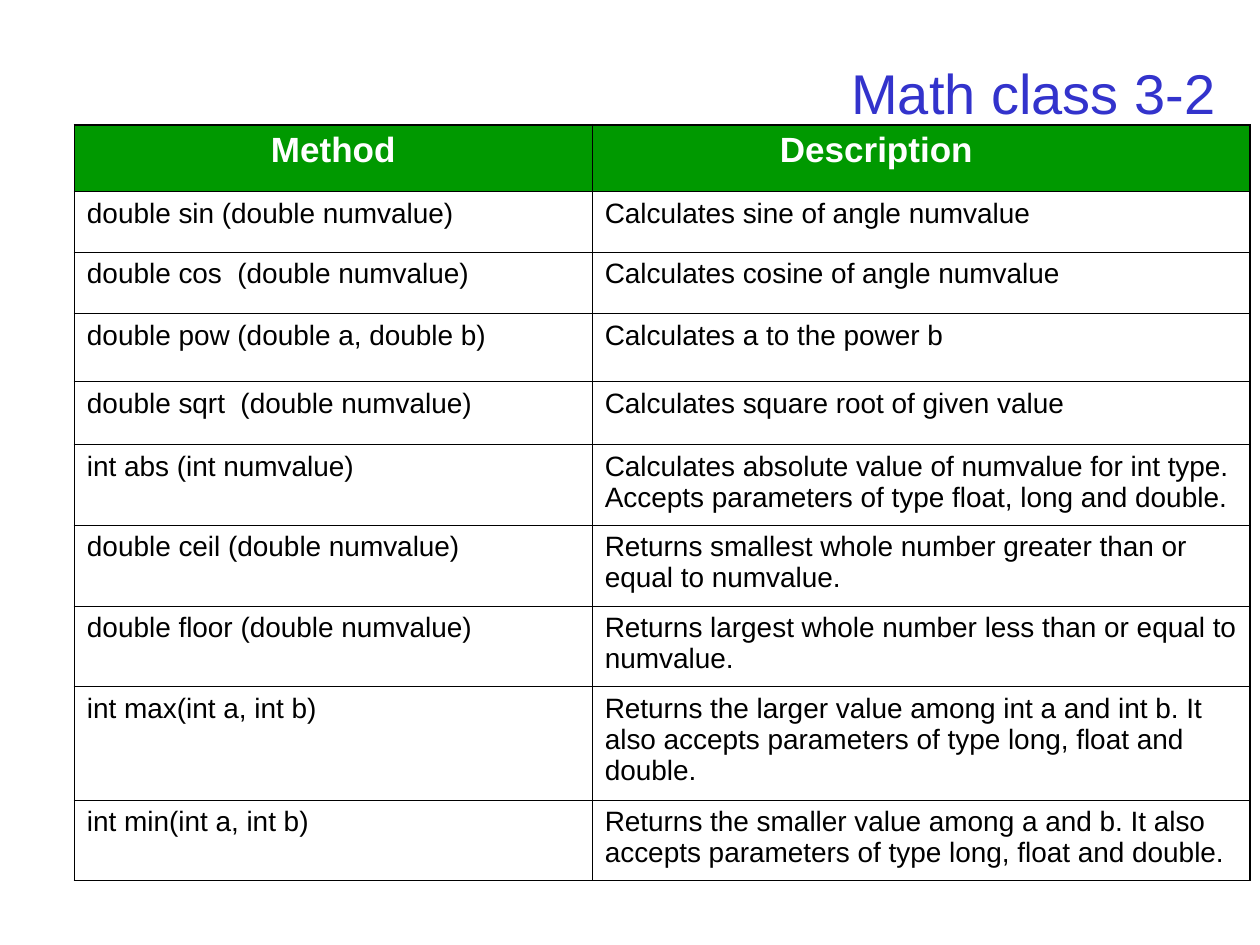
"""Build the slide that lists methods of the Math class."""
from dataclasses import dataclass
from typing import Any

from lxml import etree
from pptx import Presentation
from pptx.dml.color import RGBColor
from pptx.enum.text import MSO_ANCHOR, MSO_AUTO_SIZE, PP_ALIGN
from pptx.oxml.ns import qn
from pptx.util import Inches, Pt

LEFT, CENTER, RIGHT = PP_ALIGN.LEFT, PP_ALIGN.CENTER, PP_ALIGN.RIGHT
BOTTOM, FIXED = MSO_ANCHOR.BOTTOM, MSO_AUTO_SIZE.NONE
COLORS = {"title": "3333CC", "head": "009900", "light": "FFFFFF", "ink": "000000"}
THIN, THICK = Pt(0.45), Pt(1.08)
WIDTHS = (4.11, 5.22)
HEAD_PAD = 1.49


@dataclass
class Row:
    """Hold one line of the table."""
    method: str
    about: str
    height: float


ROWS = [
    Row("Method", "Description", 0.53),
    Row("double sin (double numvalue)", "Calculates sine of angle numvalue", 0.48),
    Row("double cos  (double numvalue)", "Calculates cosine of angle numvalue", 0.49),
    Row("double pow (double a, double b)", "Calculates a to the power b", 0.54),
    Row("double sqrt  (double numvalue)", "Calculates square root of given value", 0.5),
    Row("int abs (int numvalue)", "Calculates absolute value of numvalue for int type. "
        "Accepts parameters of type float, long and double.", 0.64),
    Row("double ceil (double numvalue)",
        "Returns smallest whole number greater than or equal to numvalue.", 0.64),
    Row("double floor (double numvalue)",
        "Returns largest whole number less than or equal to numvalue.", 0.64),
    Row("int max(int a, int b)", "Returns the larger value among int a and int b. "
        "It also accepts parameters of type long, float and double.", 0.9),
    Row("int min(int a, int b)", "Returns the smaller value among a and b. "
        "It also accepts parameters of type long, float and double.", 0.64),
]


def apply(item: Any, values: dict[str, Any]) -> None:
    """Set each named value on the item."""
    for name, value in values.items():
        setattr(item, name, value)


def write(frame: Any, text: str, size: int, color: str, bold: bool, align: Any) -> None:
    """Fill a text frame with one styled paragraph."""
    frame.text = text
    para = frame.paragraphs[0]
    para.alignment = align
    font = para.runs[0].font
    apply(font, {"name": "Arial", "size": Pt(size), "bold": bold})
    font.color.rgb = RGBColor.from_string(COLORS[color])


def edge(cell: Any, side: str, width: int) -> None:
    """Draw one border of a cell."""
    props = cell._tc.get_or_add_tcPr()
    line = etree.SubElement(props, qn(f"a:ln{side}"), w=str(width))
    fill = etree.SubElement(line, qn("a:solidFill"))
    etree.SubElement(fill, qn("a:srgbClr"), val=COLORS["ink"])


def draw_title(slide: Any) -> None:
    """Place the slide title."""
    title = slide.shapes.title
    apply(title, {"left": Inches(0.75), "top": Inches(0.05),
                  "width": Inches(9), "height": Inches(0.95)})
    frame = title.text_frame
    apply(frame, {"vertical_anchor": BOTTOM, "margin_bottom": 0,
                  "auto_size": FIXED, "word_wrap": True})
    write(frame, "Math class 3-2", 32, "title", False, RIGHT)


def draw_cell(cell: Any, text: str, row: int, col: int) -> None:
    """Write and style one cell."""
    head, last = row == 0, row == len(ROWS) - 1
    edges = {"L": col == 0, "R": col == 1, "T": head, "B": last}
    for side, outer in edges.items():
        edge(cell, side, THICK if outer else THIN)
    if head:
        cell.fill.solid()
        cell.fill.fore_color.rgb = RGBColor.from_string(COLORS["head"])
        write(cell.text_frame, text, 20, "light", True, LEFT if col else CENTER)
    else:
        cell.fill.background()
        write(cell.text_frame, text, 16, "ink", False, LEFT)
    pad = HEAD_PAD if head and col else 0.1
    apply(cell, {"margin_left": Inches(pad), "margin_right": Inches(0.1),
                 "margin_top": Inches(0.05), "margin_bottom": Inches(0.05)})


def draw_table(slide: Any) -> None:
    """Place the table of methods."""
    high = sum(row.height for row in ROWS)
    table = slide.shapes.add_table(len(ROWS), len(WIDTHS), Inches(0.59), Inches(0.99),
                                   Inches(sum(WIDTHS)), Inches(high)).table
    apply(table, {"first_row": False, "horz_banding": False})
    for col, width in zip(table.columns, WIDTHS):
        col.width = Inches(width)
    for num, row in enumerate(ROWS):
        table.rows[num].height = Inches(row.height)
        for col, text in enumerate((row.method, row.about)):
            draw_cell(table.cell(num, col), text, num, col)


def main() -> None:
    """Build and save the deck."""
    deck = Presentation()
    apply(deck, {"slide_width": Inches(10), "slide_height": Inches(7.5)})
    slide = deck.slides.add_slide(deck.slide_layouts[5])
    draw_title(slide)
    draw_table(slide)
    deck.save("out.pptx")


if __name__ == "__main__":
    main()
